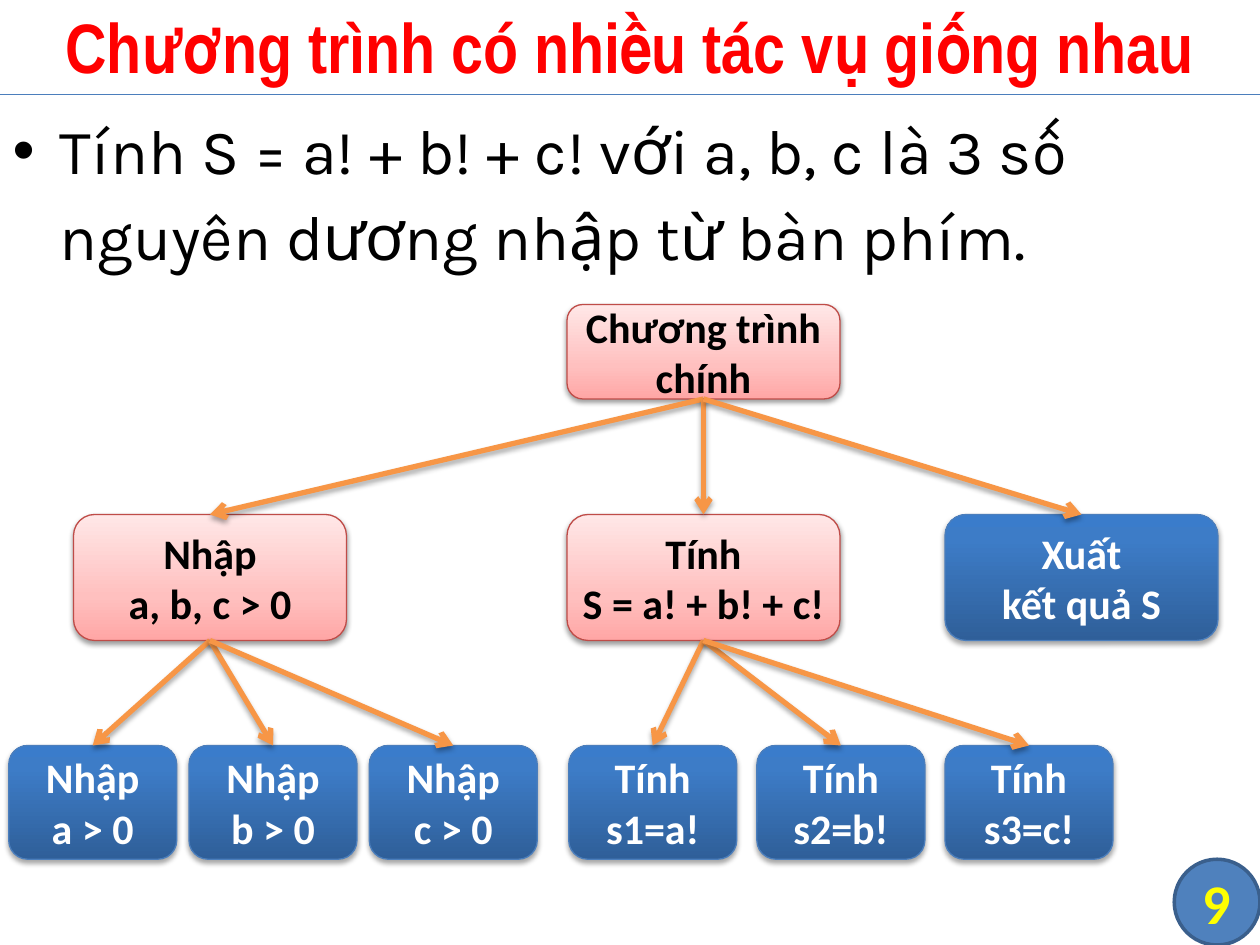
from copy import deepcopy
from pptx import Presentation
from pptx.dml.color import RGBColor
from pptx.enum.shapes import MSO_CONNECTOR, MSO_SHAPE
from pptx.enum.text import MSO_ANCHOR, MSO_AUTO_SIZE, PP_ALIGN
from pptx.oxml import parse_xml
from pptx.oxml.ns import nsdecls, qn
from pptx.util import Pt

rgb = RGBColor.from_string


def write(para, text, size, font, color, bold=True):
    run = para.add_run()
    run.text = text
    run.font.size, run.font.name, run.font.bold = Pt(size), font, bold
    run.font.color.rgb = rgb(color)


def shade(item, dist, alpha):
    """Give a shape or connector a soft shadow straight below it."""
    props = item._element.spPr
    for old in props.findall(qn("a:effectLst")):
        props.remove(old)
    props.append(parse_xml(
        f'<a:effectLst {nsdecls("a")}><a:outerShdw blurRad="{Pt(3.1)}" '
        f'dist="{Pt(dist)}" dir="5400000" rotWithShape="0"><a:srgbClr val="000000">'
        f'<a:alpha val="{alpha * 1000}"/></a:srgbClr></a:outerShdw></a:effectLst>'))


deck = Presentation()
deck.slide_width, deck.slide_height = Pt(720), Pt(540)
slide = deck.slides.add_slide(deck.slide_layouts[1])
shapes = slide.shapes

# Title and body
title, body = shapes.title, slide.placeholders[1]
for holder, top, high in ((title, -2, 56), (body, 54, 486)):
    holder.left, holder.top, holder.width, holder.height = Pt(0), Pt(top), Pt(720), Pt(high)
    holder.text_frame.auto_size = MSO_AUTO_SIZE.NONE
title.text_frame.vertical_anchor = MSO_ANCHOR.MIDDLE
para = title.text_frame.paragraphs[0]
para.alignment = PP_ALIGN.CENTER
write(para, "Chương trình có nhiều tác vụ giống nhau", 40, "Arial Narrow", "FF0000")
para = body.text_frame.paragraphs[0]
para.line_spacing = 1.14
para.space_before = para.space_after = Pt(6)
write(para, "Tính S = a! + b! + c! với a, b, c là 3 số nguyên dương nhập từ bàn phím.",
      36, "Karla", "000000", False)

# Rule under the title
rule = shapes.add_connector(MSO_CONNECTOR.STRAIGHT, Pt(0), Pt(54), Pt(720), Pt(54))
rule.line.color.rgb = rgb("4B7EBC")
rule.line.width = Pt(0.75)
rule._element.spPr.append(parse_xml(f'<a:effectLst {nsdecls("a")}/>'))

# Page number
badge = shapes.add_shape(MSO_SHAPE.FLOWCHART_CONNECTOR, Pt(671), Pt(491), Pt(49), Pt(49))
badge.shadow.inherit = False
badge.fill.solid()
badge.fill.fore_color.rgb = rgb("4F81BD")
badge.line.color.rgb = rgb("3A5F8C")
badge.line.width = Pt(2)
frame = badge.text_frame
frame.margin_left = frame.margin_right = frame.margin_top = frame.margin_bottom = 0
frame.vertical_anchor = MSO_ANCHOR.MIDDLE
frame.paragraphs[0].alignment = PP_ALIGN.CENTER
write(frame.paragraphs[0], "9", 32, "Calibri", "FFFF00")

# Looks: gradient stops from the bottom up, line, text, shadow distance and opacity
pink = (((0, "FFA6A5"), (0.35, "FFC0BF"), (1, "FFE7E7")), "BF4C48", "000000", 1.6, 38)
blue = (((0, "2F5F99"), (0.8, "3D7CC7"), (1, "3A7CCB")), "4B7EBC", "FFFFFF", 1.8, 35)

# Tiers: top, width, height
root, mid, leaf = (174, 156, 54), (294, 156, 72), (426, 96, 65)

# Boxes: name, parent, tier, left, look, lines
nodes = [
    ("main", None, root, 324, pink, ("Chương trình", "chính")),
    ("input", "main", mid, 42, pink, ("Nhập", "a, b, c > 0")),
    ("sum", "main", mid, 324, pink, ("Tính", "S = a! + b! + c!")),
    ("output", "main", mid, 540, blue, ("Xuất", "kết quả S")),
]
for i, var in enumerate("abc"):
    nodes.append((var, "input", leaf, 5 + 103 * i, blue, ("Nhập", f"{var} > 0")))
for i, var in enumerate("abc"):
    nodes.append((f"s{i + 1}", "sum", leaf, 325 + 107.5 * i, blue,
                  ("Tính", f"s{i + 1}={var}!")))

boxes = {}
for name, parent, (top, wide, high), left, look, lines in nodes:
    stops, edge, ink, dist, alpha = look
    box = shapes.add_shape(MSO_SHAPE.ROUNDED_RECTANGLE, Pt(left), Pt(top), Pt(wide), Pt(high))
    box.adjustments[0] = 0.167
    box.fill.gradient()
    box.fill.gradient_angle = 90
    ramp = box._element.spPr.find(qn("a:gradFill")).find(qn("a:gsLst"))
    ramp.append(deepcopy(ramp[0]))
    for stop, (place, color) in zip(box.fill.gradient_stops, stops):
        stop.position = place
        stop.color.rgb = rgb(color)
    box.line.color.rgb = rgb(edge)
    box.line.width = Pt(0.75)
    shade(box, dist, alpha)
    frame = box.text_frame
    frame.word_wrap = False
    frame.vertical_anchor = MSO_ANCHOR.MIDDLE
    for i, line in enumerate(lines):
        para = frame.add_paragraph() if i else frame.paragraphs[0]
        para.alignment = PP_ALIGN.CENTER
        write(para, line, 24, "Calibri", ink)
    boxes[name] = box

# Arrows from each parent's bottom to its child's top
for name, parent, *rest in nodes:
    if parent:
        arrow = shapes.add_connector(MSO_CONNECTOR.STRAIGHT, 0, 0, 0, 0)
        arrow.begin_connect(boxes[parent], 2)
        arrow.end_connect(boxes[name], 0)
        arrow.line.color.rgb = rgb("F79646")
        arrow.line.width = Pt(3)
        arrow.line._get_or_add_ln().append(
            parse_xml(f'<a:tailEnd {nsdecls("a")} type="arrow"/>'))
        shade(arrow, 1.8, 35)

deck.save("out.pptx")
